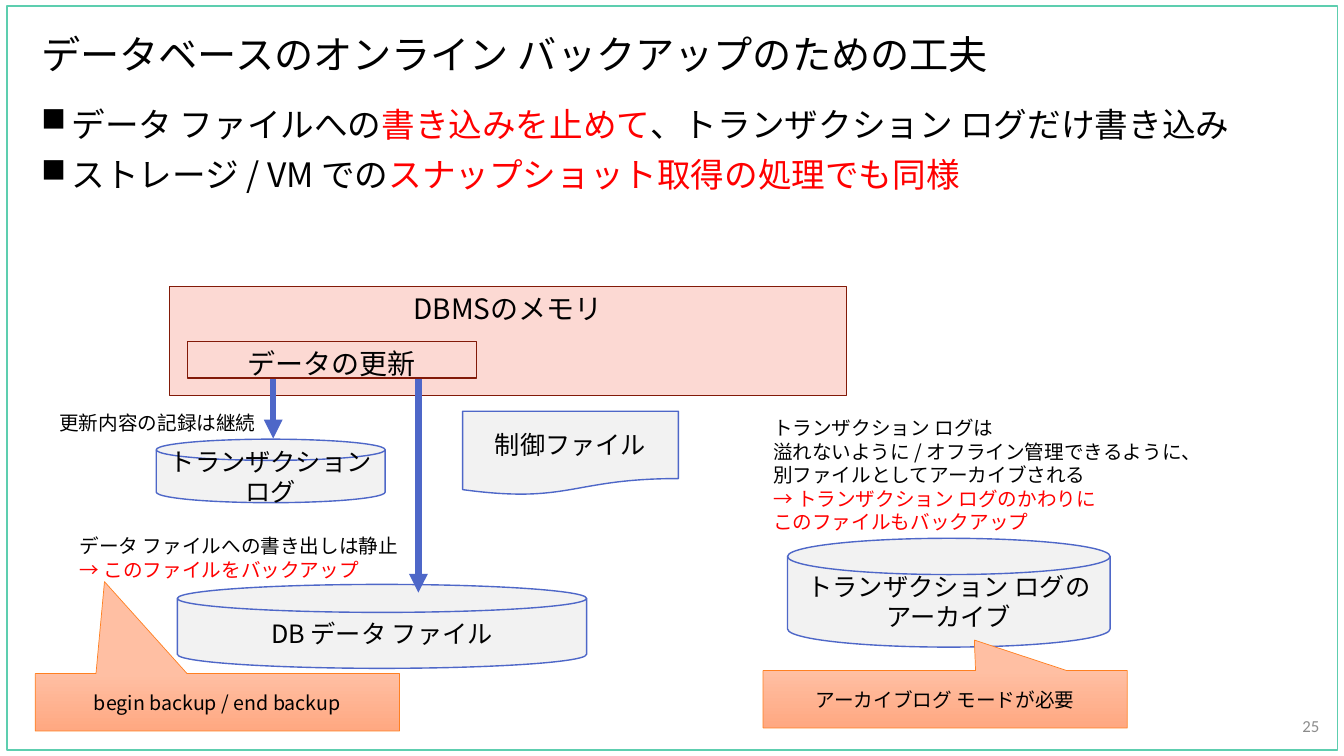
from lxml import etree
from pptx import Presentation
from pptx.dml.color import RGBColor
from pptx.enum.shapes import MSO_CONNECTOR, MSO_SHAPE
from pptx.enum.text import MSO_ANCHOR, PP_ALIGN
from pptx.oxml.ns import qn
from pptx.util import Inches, Pt

RECTANGLE = MSO_SHAPE.RECTANGLE
DISK = MSO_SHAPE.FLOWCHART_MAGNETIC_DISK
DOCUMENT = MSO_SHAPE.FLOWCHART_DOCUMENT
CALLOUT = MSO_SHAPE.RECTANGULAR_CALLOUT
STRAIGHT = MSO_CONNECTOR.STRAIGHT
TOP, MIDDLE = MSO_ANCHOR.TOP, MSO_ANCHOR.MIDDLE
LEFT, CENTER, RIGHT = PP_ALIGN.LEFT, PP_ALIGN.CENTER, PP_ALIGN.RIGHT

BLACK = RGBColor(0x00, 0x00, 0x00)
RED = RGBColor(0xFF, 0x00, 0x00)
GRAY = RGBColor(0x8C, 0x8C, 0x8C)
WHITE = RGBColor(0xFF, 0xFF, 0xFF)
GREEN = RGBColor(0x5D, 0xCE, 0xAF)
BLUE = RGBColor(0x4E, 0x67, 0xC8)
PALE_GRAY = RGBColor(0xF2, 0xF2, 0xF2)
PINK = RGBColor(0xFC, 0xD9, 0xD3)
MAROON = RGBColor(0x82, 0x1A, 0x08)
ORANGE = RGBColor(0xFF, 0x80, 0x21)
PEACH = (RGBColor(0xFF, 0xBF, 0xA3), RGBColor(0xFF, 0xA8, 0x81))

JAPANESE_FONT = "Noto Sans CJK JP"
NUMBER_FONT = "Calibri"
LINE_HEIGHT = 1.2
TIGHT = 0.9
HANGING = Inches(0.3)

# Boxes are left, top, width and height in percent of the slide.
FRAME = (0.53, 0.8, 99, 98.4)
TITLE = ((2.33, 3.2, 95, 8.4), "データベースのオンライン バックアップのための工夫")
PAGE_NUMBER = ((93.9, 94, 5, 4), "25")
POINTS = ((2.33, 13.6, 95, 15.3), [
    [("データ ファイルへの", BLACK), ("書き込みを止めて", RED),
     ("、トランザクション ログだけ書き込み", BLACK)],
    [("ストレージ / VM での", BLACK), ("スナップショット取得の処理でも同様", RED)],
])
STORES = [
    (DISK, (13.2, 77.3, 30.45, 11.1), ["DB データ ファイル"]),
    (DISK, (11.63, 58.1, 17.03, 8.4), ["トランザクション", "ログ"]),
    (DISK, (58.6, 71.2, 24, 14.4), ["トランザクション ログの", "アーカイブ"]),
    (DOCUMENT, (34.43, 54.4, 16.05, 11.1), ["制御ファイル"]),
]
MEMORY = [
    ((12.6, 37.9, 50.4, 14.4), "DBMSのメモリ"),
    ((13.95, 45.2, 21.5, 4.8), "データの更新"),
]
ARROW_START = 50.1
ARROWS = [(20.33, 58), (31.13, 78.4)]
NOTES = [
    ((3.67, 53.7, 18.6, 4.8), ["更新内容の記録は継続"], []),
    ((5.18, 70, 30, 8), ["データ ファイルへの書き出しは静止"], ["→ このファイルをバックアップ"]),
    ((56.78, 54.4, 36.4, 16.5),
     ["トランザクション ログは", "溢れないように / オフライン管理できるように、",
      "別ファイルとしてアーカイブされる"],
     ["→ トランザクション ログのかわりに", "このファイルもバックアップ"]),
]
CALLOUTS = [
    ((56.78, 88.7, 27.1, 7.6), (0.08, -1.03), "アーカイブログ モードが必要"),
    ((2.63, 89.1, 27.1, 7.6), (-0.31, -2.1), "begin backup / end backup"),
]

presentation = Presentation()
presentation.slide_width = Inches(13.33)
presentation.slide_height = Inches(7.5)
slide = presentation.slides.add_slide(presentation.slide_layouts[6])


def across(share):
    return round(presentation.slide_width * share / 100)


def down(share):
    return round(presentation.slide_height * share / 100)


def place(box):
    left, top, width, height = box
    return across(left), down(top), across(width), down(height)


def lines(texts, color=BLACK):
    return [[(text, color)] for text in texts]


def write(shape, paragraphs, size, align=LEFT, anchor=TOP, font=JAPANESE_FONT,
          spacing=1, space_before=0, bullet=None):
    frame = shape.text_frame
    frame.word_wrap = True
    frame.vertical_anchor = anchor
    for index, runs in enumerate(paragraphs):
        paragraph = frame.paragraphs[0] if index == 0 else frame.add_paragraph()
        if bullet:
            properties = paragraph._p.get_or_add_pPr()
            properties.set("marL", str(HANGING))
            properties.set("indent", str(-HANGING))
            etree.SubElement(properties, qn("a:buChar")).set("char", bullet)
        paragraph.alignment = align
        paragraph.line_spacing = Pt(round(size * LINE_HEIGHT * spacing, 1))
        if index and space_before:
            paragraph.space_before = Pt(space_before)
        for text, color in runs:
            run = paragraph.add_run()
            run.text = text
            run.font.size = Pt(size)
            run.font.color.rgb = color
            run.font.name = font
            east_asian = etree.SubElement(run._r.get_or_add_rPr(), qn("a:ea"))
            east_asian.set("typeface", font)


def add_text(box, paragraphs, size, **text_format):
    write(slide.shapes.add_textbox(*place(box)), paragraphs, size, **text_format)


def add_block(kind, box, fill, line, line_width=1):
    shape = slide.shapes.add_shape(kind, *place(box))
    shape.shadow.inherit = False
    if isinstance(fill, tuple) and not isinstance(fill, RGBColor):
        shape.fill.gradient()
        shape.fill.gradient_angle = 270
        for stop, color in zip(shape.fill.gradient_stops, fill):
            stop.color.rgb = color
    else:
        shape.fill.solid()
        shape.fill.fore_color.rgb = fill
    shape.line.color.rgb = line
    shape.line.width = Pt(line_width)
    return shape


def add_arrow(column, end):
    arrow = slide.shapes.add_connector(
        STRAIGHT, across(column), down(ARROW_START), across(column), down(end))
    arrow.line.color.rgb = BLUE
    arrow.line.width = Pt(4.5)
    etree.SubElement(arrow.line._get_or_add_ln(), qn("a:tailEnd")).set("type", "triangle")
    etree.SubElement(arrow._element.spPr, qn("a:effectLst"))


add_block(RECTANGLE, FRAME, WHITE, GREEN)
title_box, title = TITLE
add_text(title_box, lines([title]), 28, anchor=MIDDLE, spacing=TIGHT)
number_box, number = PAGE_NUMBER
add_text(number_box, lines([number], GRAY), 12, align=RIGHT, anchor=MIDDLE, font=NUMBER_FONT)
points_box, points = POINTS
add_text(points_box, points, 24, spacing=TIGHT, space_before=10, bullet="■")

for kind, box, texts in STORES:
    write(add_block(kind, box, PALE_GRAY, BLUE), lines(texts), 18, align=CENTER, anchor=MIDDLE)
for box, text in MEMORY:
    write(add_block(RECTANGLE, box, PINK, MAROON), lines([text]), 20, align=CENTER)
for column, end in ARROWS:
    add_arrow(column, end)
for box, plain, stressed in NOTES:
    add_text(box, lines(plain) + lines(stressed, RED), 14)
for box, tip, text in CALLOUTS:
    callout = add_block(CALLOUT, box, PEACH, ORANGE, 0.5)
    callout.adjustments[0], callout.adjustments[1] = tip
    write(callout, lines([text]), 14, align=CENTER, anchor=MIDDLE)

presentation.save("out.pptx")
